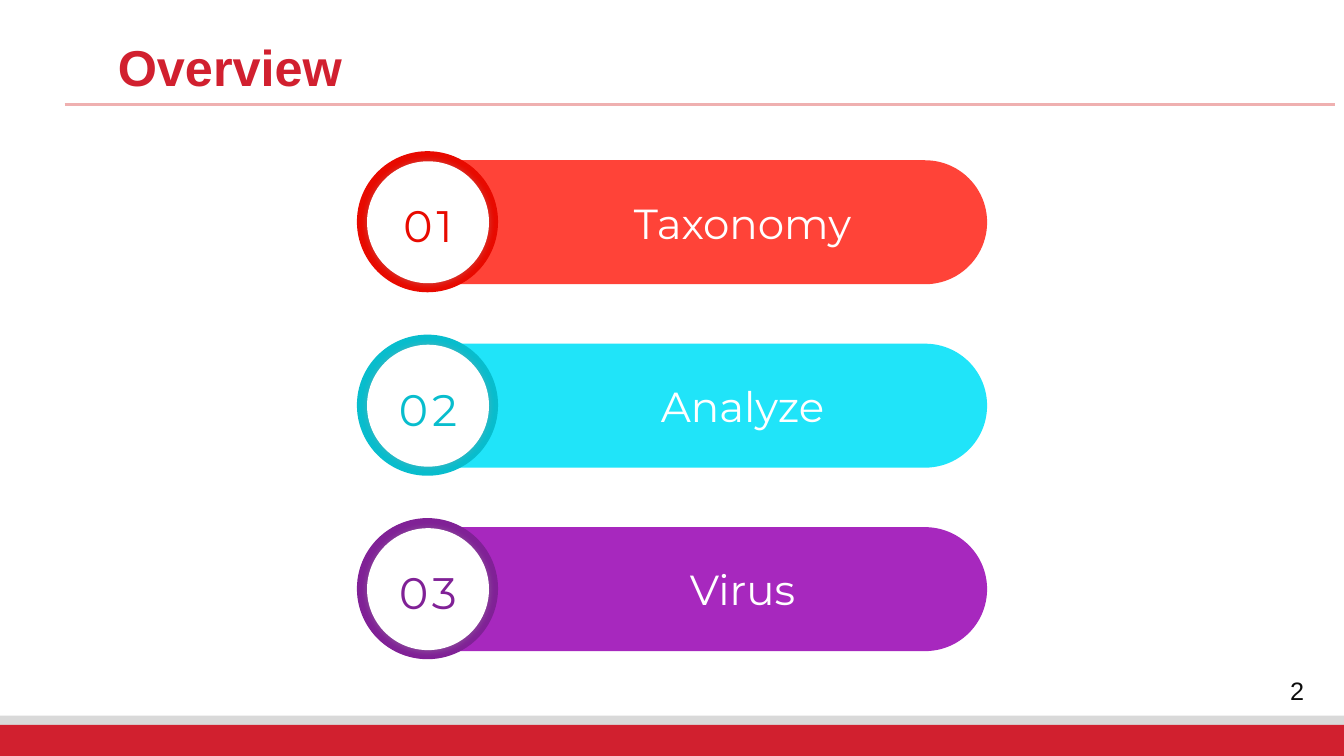
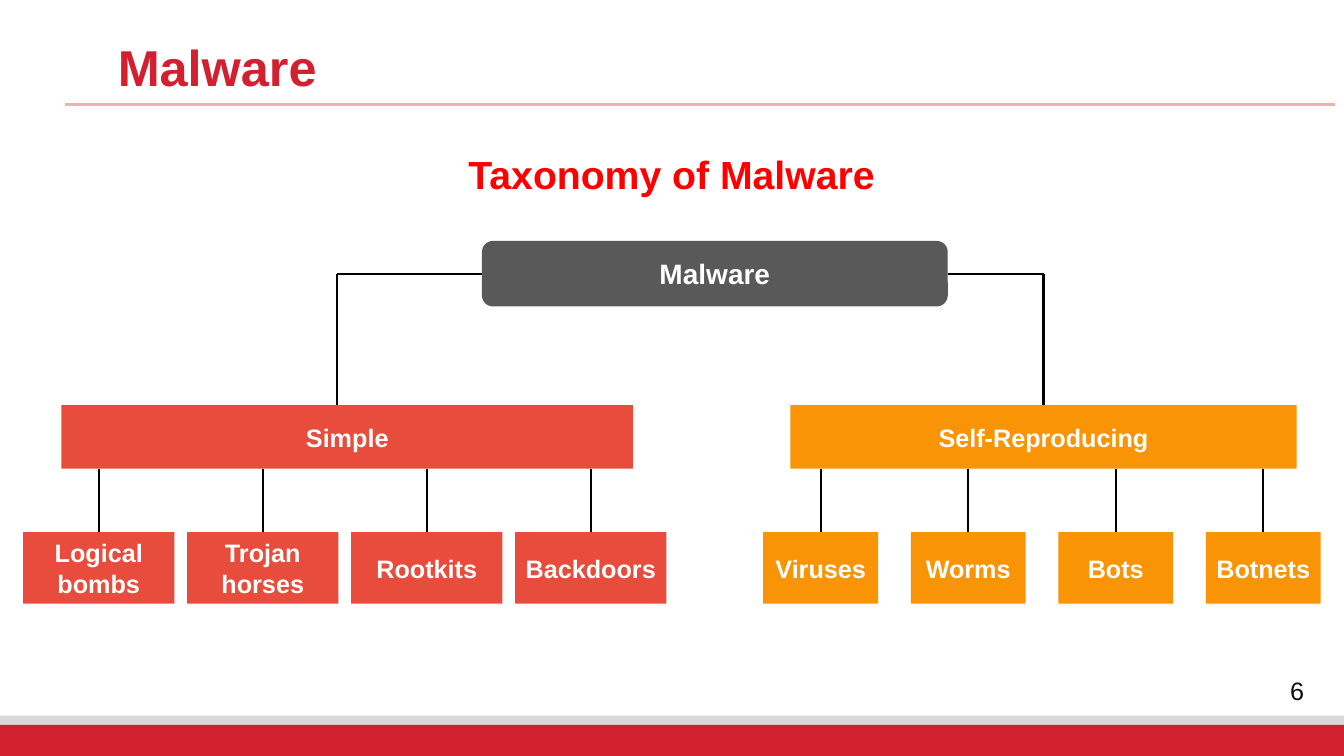
from dataclasses import dataclass

from lxml.etree import SubElement
from pptx import Presentation
from pptx.dml.color import RGBColor
from pptx.enum.shapes import MSO_CONNECTOR, MSO_SHAPE
from pptx.enum.text import MSO_ANCHOR, PP_ALIGN
from pptx.oxml.ns import qn
from pptx.util import Inches, Pt


@dataclass(frozen=True)
class Theme:
    font: str = "Arial"
    agenda_font: str = "Montserrat"
    red: str = "D1202F"
    gray: str = "D9D9D9"
    rule: str = "EFB0B0"
    ink: str = "0D0D0D"
    black: str = "000000"
    white: str = "FFFFFF"
    shadow: str = "A6A6A6"
    heading: str = "FF0000"
    root: str = "595959"
    simple: str = "E74C3C"
    reproducing: str = "F89406"
    title_size: float = 36
    heading_size: float = 28
    root_size: float = 20
    body_size: float = 18
    number_size: float = 31.5
    agenda_size: float = 30


THEME = Theme()
SLIDE_WIDTH, SLIDE_HEIGHT = 13.33, 7.5
AGENDA = [
    ("01", "Taxonomy", "E80A00", "FF4338"),
    ("02", "Analyze", "08BDCD", "20E4F9"),
    ("03", "Virus", "802196", "A728BE"),
]
SIMPLE_KINDS = ["Logical bombs", "Trojan horses", "Rootkits", "Backdoors"]
REPRODUCING_KINDS = ["Viruses", "Worms", "Bots", "Botnets"]


def write(shape, text, size, color, font=THEME.font, bold=False,
          align=PP_ALIGN.CENTER, anchor=MSO_ANCHOR.MIDDLE):
    text_frame = shape.text_frame
    text_frame.text = text
    text_frame.word_wrap = True
    text_frame.vertical_anchor = anchor
    paragraph = text_frame.paragraphs[0]
    paragraph.alignment = align
    run_font = paragraph.runs[0].font
    run_font.name = font
    run_font.size = Pt(size)
    run_font.bold = bold
    run_font.color.rgb = RGBColor.from_string(color)
    return paragraph


def add_text(slide, box, text, size, color, **style):
    shape = slide.shapes.add_textbox(*map(Inches, box))
    write(shape, text, size, color, **style)
    return shape


def add_box(slide, kind, box, fill):
    shape = slide.shapes.add_shape(kind, *map(Inches, box))
    shape.shadow.inherit = False
    shape.fill.solid()
    shape.fill.fore_color.rgb = RGBColor.from_string(fill)
    shape.line.fill.background()
    return shape


def add_node(slide, kind, box, fill, text, size):
    shape = add_box(slide, kind, box, fill)
    write(shape, text, size, THEME.white, bold=True)
    shape.text_frame.margin_left = shape.text_frame.margin_right = Inches(0.05)
    return shape


def add_line(slide, start, end, color=THEME.black, width=1.5):
    connector = slide.shapes.add_connector(
        MSO_CONNECTOR.STRAIGHT, *map(Inches, (*start, *end)))
    connector.line.color.rgb = RGBColor.from_string(color)
    connector.line.width = Pt(width)
    SubElement(connector.element.spPr, qn("a:effectLst"))
    return connector


def add_glow(shape):
    effects = shape.element.spPr.find(qn("a:effectLst"))
    glow = SubElement(effects, qn("a:outerShdw"), blurRad=str(Pt(5)), dist="0",
                      dir="0", algn="ctr", rotWithShape="0")
    color = SubElement(glow, qn("a:srgbClr"), val=THEME.shadow)
    SubElement(color, qn("a:alpha"), val="40000")


def add_frame(presentation, title, number):
    slide = presentation.slides.add_slide(presentation.slide_layouts[6])
    for height, color in ((0.4, THEME.gray), (0.31, THEME.red)):
        band = (0, SLIDE_HEIGHT - height, SLIDE_WIDTH, height)
        add_box(slide, MSO_SHAPE.RECTANGLE, band, color)
    add_line(slide, (0.64, 1.04), (13.24, 1.04), THEME.rule, 2.25)
    add_text(slide, (12.41, 6.65, 0.91, 0.39), number, THEME.body_size, THEME.ink)
    heading = add_text(slide, (1.07, 0.35, 11.37, 0.48), title, THEME.title_size,
                       THEME.red, bold=True, align=PP_ALIGN.LEFT,
                       anchor=MSO_ANCHOR.TOP)
    heading.text_frame.margin_top = Inches(0.08)
    heading.text_frame.paragraphs[0].line_spacing = 0.9
    return slide


def add_agenda_row(slide, left, top, number, label, dark, bright):
    bar = add_box(slide, MSO_SHAPE.ROUNDED_RECTANGLE,
                  (left + 0.36, top + 0.09, 5.89, 1.23), bright)
    bar.adjustments[0] = 0.5
    add_box(slide, MSO_SHAPE.OVAL, (left, top, 1.4, 1.4), dark)
    disc = add_box(slide, MSO_SHAPE.OVAL,
                   (left + 0.1, top + 0.1, 1.21, 1.21), THEME.white)
    add_glow(disc)
    badge = add_text(slide, (left + 0.1, top + 0.38, 1.21, 0.66), number,
                     THEME.number_size, dark, font=THEME.agenda_font)
    badge.text_frame.margin_bottom = 0
    run = badge.text_frame.paragraphs[0].runs[0]
    run.font._element.set("spc", "300")
    add_text(slide, (left + 1.4, top + 0.11, 4.85, 1.19), label,
             THEME.agenda_size, THEME.white, font=THEME.agenda_font)


def build_overview(presentation):
    slide = add_frame(presentation, "Overview", "2")
    for index, row in enumerate(AGENDA):
        add_agenda_row(slide, 3.54, 1.5 + index * 1.82, *row)


def add_branch(slide, header_box, leaf_box, leaf_width, fill, label, kinds):
    header = add_node(slide, MSO_SHAPE.RECTANGLE, header_box, fill, label,
                      THEME.body_size)
    header_bottom = header_box[1] + header_box[3]
    left, top, width, height = leaf_box
    pitch = (width - leaf_width) / (len(kinds) - 1)
    for index, kind in enumerate(kinds):
        leaf_left = left + index * pitch
        leaf = add_node(slide, MSO_SHAPE.RECTANGLE,
                        (leaf_left, top, leaf_width, height), fill, kind,
                        THEME.body_size)
        center = leaf_left + leaf_width / 2
        stem = add_line(slide, (center, header_bottom), (center, top))
        stem.end_connect(leaf, 0)
    return header


def build_taxonomy(presentation):
    slide = add_frame(presentation, "Malware", "6")
    add_text(slide, (4.44, 1.44, 4.44, 0.57), "Taxonomy of Malware",
             THEME.heading_size, THEME.heading, bold=True, anchor=MSO_ANCHOR.TOP)
    root = add_node(slide, MSO_SHAPE.ROUNDED_RECTANGLE, (4.78, 2.39, 4.62, 0.65),
                    THEME.root, "Malware", THEME.root_size)
    add_branch(slide, (0.61, 4.02, 5.67, 0.63), (0.23, 5.28, 6.38, 0.71), 1.5,
               THEME.simple, "Simple", SIMPLE_KINDS)
    reproducing = add_branch(slide, (7.84, 4.02, 5.02, 0.63),
                             (7.57, 5.28, 5.53, 0.71), 1.14, THEME.reproducing,
                             "Self-Reproducing", REPRODUCING_KINDS)
    level = 2.39 + 0.65 / 2
    for side, edge, trunk in ((1, 4.78, 3.34), (3, 9.4, 10.35)):
        arm = add_line(slide, (edge, level), (trunk, level))
        arm.begin_connect(root, side)
        drop = add_line(slide, (trunk, level), (trunk, 4.02))
        if side == 3:
            drop.end_connect(reproducing, 0)


def main():
    presentation = Presentation()
    presentation.slide_width = Inches(SLIDE_WIDTH)
    presentation.slide_height = Inches(SLIDE_HEIGHT)
    build_overview(presentation)
    build_taxonomy(presentation)
    presentation.save("out.pptx")


if __name__ == "__main__":
    main()
